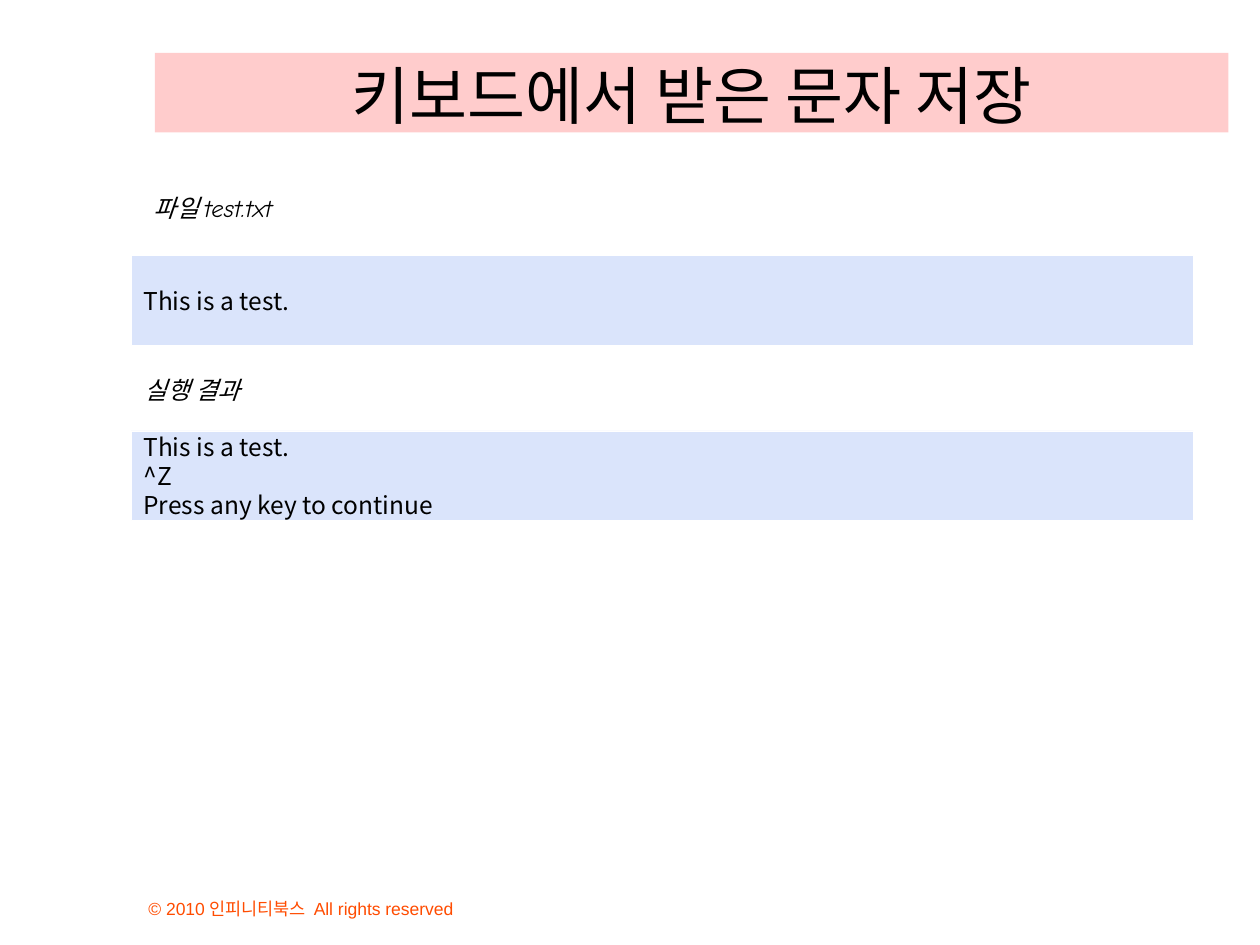
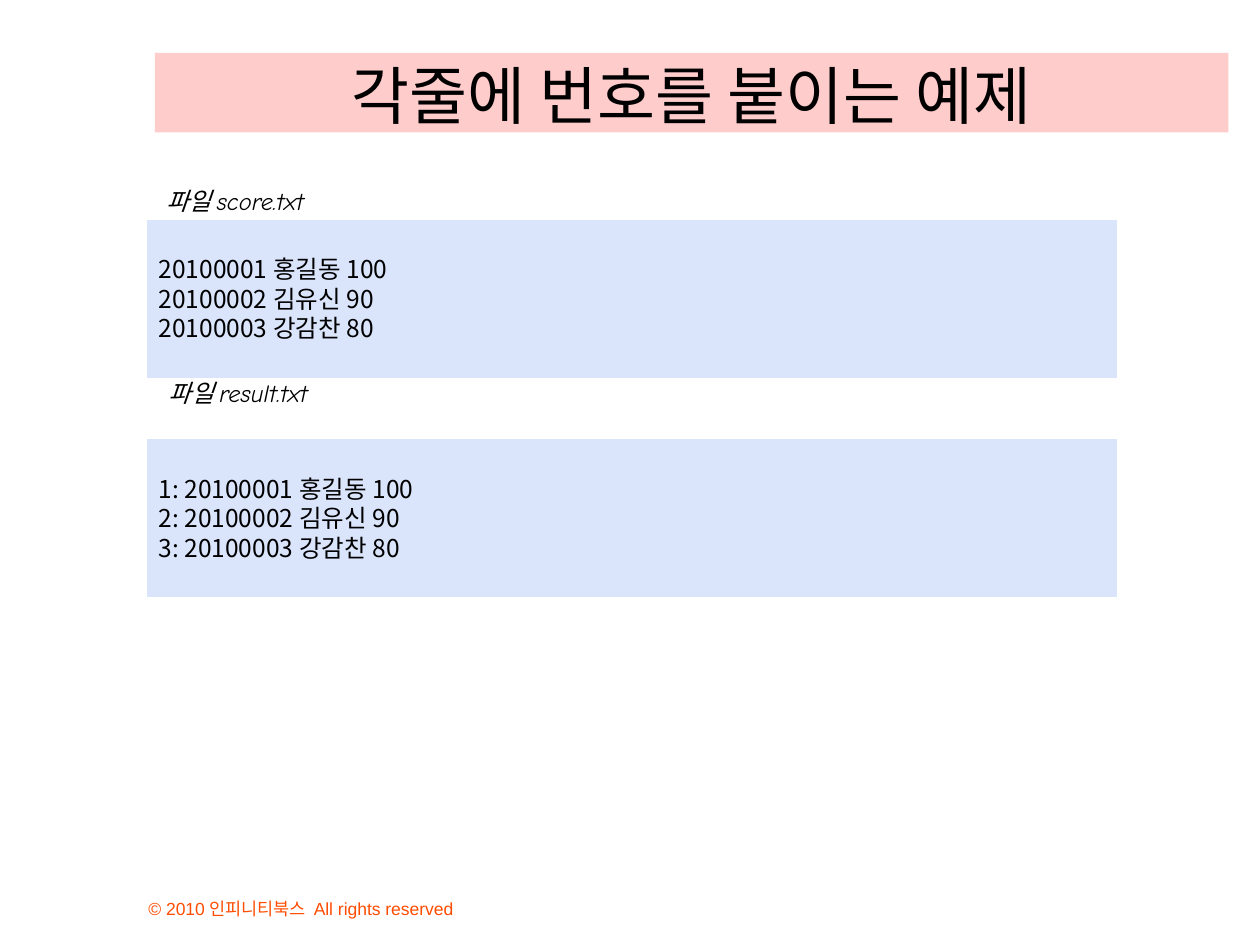
from lxml.etree import SubElement
from pptx import Presentation
from pptx.dml.color import RGBColor
from pptx.enum.shapes import MSO_SHAPE
from pptx.enum.text import MSO_ANCHOR, MSO_AUTO_SIZE, PP_ALIGN
from pptx.oxml.ns import qn
from pptx.util import Inches, Pt

COLORS = {"text": "000000", "band": "FFCCCC", "code": "DAE4FB",
          "edge": "FFFFFF", "footer": "FF4C00"}
TITLE_FONT, CODE_FONT, LABEL_FONT = "Lato", "Noto Sans CJK KR", "Comic Neue"
FOOTER = "© 2010 인피니티북스  All rights reserved"
LABEL_H = 0.34

scores = [("20100001 ", "홍길동 ", "100"),
          ("20100002 ", "김유신 ", "90"),
          ("20100003 ", "강감찬 ", "80")]
numbered = [(f"{n}: {number}", name, score)
            for n, (number, name, score) in enumerate(scores, 1)]

# Code panel: left, width, height; each block: label, its left, top and width, panel top, lines
slides = [
    ("키보드에서 받은 문자 저장", (1.04, 8.43, 0.71), [
        ("파일 test.txt", 1.12, 1.48, 1.23, 2.03, [("This is a test.",)]),
        ("실행 결과", 1.05, 2.92, 1.01, 3.42,
         [("This is a test.",), ("^Z",), ("Press any key to continue",)]),
    ]),
    ("각줄에 번호를 붙이는 예제", (1.16, 7.71, 1.26), [
        ("파일 score.txt", 1.22, 1.42, 1.38, 1.74, scores),
        ("파일 result.txt", 1.24, 2.95, 1.39, 3.48, numbered),
    ]),
]


def write(sp, lines, size=14, fonts=(CODE_FONT,), color="text", italic=False,
          align=PP_ALIGN.LEFT, anchor=MSO_ANCHOR.MIDDLE, spacing=None, wrap=True):
    """Fill a shape with lines, each a tuple of runs; fonts go run by run in turn."""
    tf = sp.text_frame
    tf.auto_size = MSO_AUTO_SIZE.NONE
    tf.word_wrap = wrap
    tf.vertical_anchor = anchor
    for i, line in enumerate(lines):
        p = tf.add_paragraph() if i else tf.paragraphs[0]
        p.alignment = align
        if spacing:
            p.line_spacing = Pt(spacing)
        for j, text in enumerate(line):
            r = p.add_run()
            r.text = text
            r.font.size = Pt(size)
            r.font.italic = italic
            r.font.name = fonts[j % len(fonts)]
            r.font.color.rgb = RGBColor.from_string(COLORS[color])
            SubElement(r.font._element, qn("a:ea"), typeface=CODE_FONT)


prs = Presentation()
prs.slide_width, prs.slide_height = Inches(10), Inches(7.5)

for heading, (left, width, height), blocks in slides:
    s = prs.slides.add_slide(prs.slide_layouts[5])

    title = s.shapes.title
    title.left, title.top = Inches(1.23), Inches(0.42)
    title.width, title.height = Inches(8.52), Inches(0.63)
    title.fill.solid()
    title.fill.fore_color.rgb = RGBColor.from_string(COLORS["band"])
    tf = title.text_frame
    tf.margin_left = tf.margin_right = tf.margin_top = tf.margin_bottom = 0
    write(title, [(heading,)], size=36, fonts=(TITLE_FONT,),
          align=PP_ALIGN.CENTER, anchor=MSO_ANCHOR.BOTTOM)

    for label, label_left, label_top, label_width, top, lines in blocks:
        panel = s.shapes.add_shape(MSO_SHAPE.RECTANGLE, Inches(left), Inches(top),
                                   Inches(width), Inches(height))
        panel.shadow.inherit = False
        panel.fill.solid()
        panel.fill.fore_color.rgb = RGBColor.from_string(COLORS["code"])
        panel.line.color.rgb = RGBColor.from_string(COLORS["edge"])
        panel.line.width = Pt(0.34)
        write(panel, lines, fonts=(CODE_FONT, LABEL_FONT),
              align=PP_ALIGN.JUSTIFY, spacing=16.8)

        caption = s.shapes.add_textbox(Inches(label_left), Inches(label_top),
                                       Inches(label_width), Inches(LABEL_H))
        write(caption, [(label,)], fonts=(LABEL_FONT,), italic=True,
              spacing=16.8, wrap=False)

    footer = s.shapes.add_textbox(Inches(1.08), Inches(6.92), Inches(3.83), Inches(0.42))
    write(footer, [(FOOTER,)], size=10, fonts=("Arial",), color="footer",
          anchor=MSO_ANCHOR.BOTTOM)

prs.save("out.pptx")
